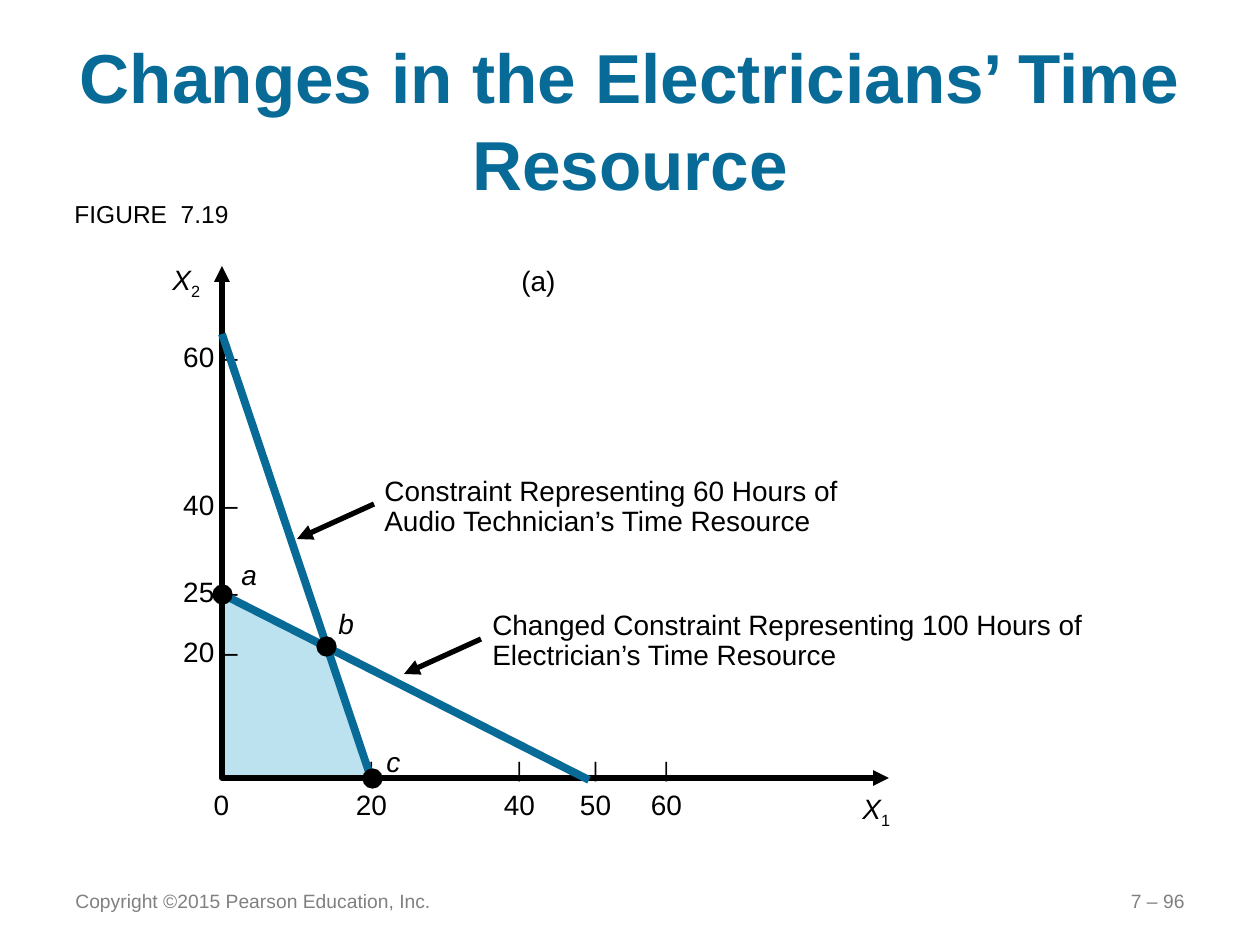
from dataclasses import dataclass
import pptx
import pptx.dml.color
import pptx.enum.shapes
import pptx.enum.text
import pptx.oxml.ns
import pptx.util
from lxml import etree

PX = 914400 / 126
RGB = pptx.dml.color.RGBColor
ALIGN = pptx.enum.text.PP_ALIGN
BLACK = RGB(0, 0, 0)
BLUE = RGB(0x08, 0x6B, 0x97)
PALE = RGB(0xBB, 0xE2, 0xEE)
GREY = RGB(0x80, 0x80, 0x80)
ZERO_X, ZERO_Y = 222, 778


@dataclass
class Label:
    text: str
    x: int
    y: int
    w: int
    h: int = 46
    size: int = 16
    color: RGB = BLACK
    align: ALIGN = ALIGN.LEFT
    space: float = 1.0
    italic: bool = False
    wrap: bool = False
    mid: bool = False
    sub: str = ""
    top: int = 0  # size of the first line, if it differs
    tabs: tuple = ()


@dataclass
class Line:
    x1: int
    y1: int
    x2: int
    y2: int
    color: RGB
    width: float
    arrow: bool = False


def emu(n: float) -> int:
    return round(n * PX)


def add_child(node, tag: str, **attrs):
    return etree.SubElement(node, pptx.oxml.ns.qn(tag), attrs)


def style_run(run, size: float, color: RGB, italic: bool = False) -> None:
    font = run.font
    font.name, font.size = "Arial", pptx.util.Pt(size)
    font.color.rgb, font.italic = color, italic


def draw_label(slide, lab: Label) -> None:
    box = slide.shapes.add_textbox(*map(emu, (lab.x, lab.y, lab.w, lab.h)))
    frame = box.text_frame
    frame.word_wrap = lab.wrap
    if lab.mid:
        frame.vertical_anchor = pptx.enum.text.MSO_ANCHOR.MIDDLE
    frame.text = lab.text
    for i, para in enumerate(frame.paragraphs):
        para.alignment = lab.align
        if lab.space != 1:
            para.line_spacing = lab.space
        if lab.tabs:
            stops = add_child(para._p.get_or_add_pPr(), "a:tabLst")
            for stop in lab.tabs:
                add_child(stops, "a:tab", pos=str(emu(stop)), algn="ctr")
        size = lab.top if lab.top and i == 0 else lab.size
        for run in para.runs:
            style_run(run, size, lab.color, lab.italic)
    if lab.sub:
        run = frame.paragraphs[0].add_run()
        run.text = lab.sub
        style_run(run, lab.size, lab.color)
        run.font._element.set("baseline", "-25000")


def draw_line(slide, line: Line) -> None:
    ends = map(emu, (line.x1, line.y1, line.x2, line.y2))
    item = slide.shapes.add_connector(pptx.enum.shapes.MSO_CONNECTOR.STRAIGHT, *ends)
    item.line.color.rgb = line.color
    item.line.width = pptx.util.Pt(line.width)
    if line.arrow:
        add_child(item.line._get_or_add_ln(), "a:tailEnd", type="triangle")
    add_child(item._element.spPr, "a:effectLst")


def draw_path(slide, points: list, close: bool):
    path = slide.shapes.build_freeform(*points[0], scale=PX)
    path.add_line_segments(points[1:], close=close)
    shape = path.convert_to_shape()
    shape.shadow.inherit = False
    return shape


def draw_dot(slide, x: int, y: int) -> None:
    dot = slide.shapes.add_shape(
        pptx.enum.shapes.MSO_SHAPE.OVAL, *map(emu, (x - 9, y - 9, 19, 19)))
    dot.shadow.inherit = False
    dot.fill.solid()
    dot.fill.fore_color.rgb = BLACK
    dot.line.color.rgb = BLACK
    dot.line.width = pptx.util.Pt(0.75)


def draw_title(slide, text: str) -> None:
    title = slide.shapes.title
    title.left, title.top, title.width, title.height = map(emu, (63, 38, 1134, 158))
    frame = title.text_frame
    frame.text = text
    frame.word_wrap = True
    frame.auto_size = pptx.enum.text.MSO_AUTO_SIZE.NONE
    frame.vertical_anchor = pptx.enum.text.MSO_ANCHOR.MIDDLE
    para = frame.paragraphs[0]
    para.alignment = ALIGN.CENTER
    para.line_spacing = 1.05
    style_run(para.runs[0], 39.6, BLUE)
    para.runs[0].font.bold = True


FOOT = [
    Label("Copyright ©2015 Pearson Education, Inc.", 63, 876, 388, 50, 11, GREY,
          wrap=True, mid=True),
    Label("7 – 96", 903, 876, 294, 50, 11, GREY, ALIGN.RIGHT, wrap=True, mid=True),
]
SCALES = [
    Label("60 –\n40 –\n20 –", 168, 220, 82, 440, align=ALIGN.RIGHT, space=4.39),
    Label("25 –", 170, 568, 80, align=ALIGN.RIGHT),
    Label("\t\t|\t|\t|\n\t0\t20\t40\t60", 185, 747, 573, 81, top=12, space=1.15,
          wrap=True, tabs=(24, 174, 322, 469)),
    Label("|\n50", 567, 747, 57, 81, top=12, space=1.15, align=ALIGN.CENTER),
    Label("X", 850, 785, 57, italic=True, sub="1"),
    Label("X", 160, 256, 57, italic=True, sub="2"),
]
NOTES = [
    Label("FIGURE  7.19", 62, 193, 181, 43, 14),
    Label("(a)", 509, 257, 59),
    Label("a", 229, 551, 48, italic=True),
    Label("b", 326, 600, 48, italic=True),
    Label("c", 374, 738, 47, italic=True),
    Label("Constraint Representing 60 Hours of Audio Technician’s Time Resource",
          372, 471, 537, 74, space=0.9, wrap=True),
    Label("Changed Constraint Representing 100 Hours of Electrician’s Time Resource",
          480, 605, 630, 74, space=0.9, wrap=True),
]
LIMITS = [
    Line(ZERO_X, 334, 371, ZERO_Y, BLUE, 4.5),
    Line(ZERO_X, 594, 589, 780, BLUE, 4.5),
]
POINTERS = [
    Line(374, 504, 297, 539, BLACK, 3, True),
    Line(481, 639, 404, 674, BLACK, 3, True),
]
DOTS = [(222, 594), (326, 646), (372, 778)]


def main() -> None:
    deck = pptx.Presentation()
    deck.slide_width, deck.slide_height = emu(1260), emu(945)
    slide = deck.slides.add_slide(deck.slide_layouts[5])
    draw_title(slide, "Changes in the Electricians’ Time Resource")

    # Feasible region
    area = draw_path(slide, [(ZERO_X, 594), (ZERO_X, ZERO_Y), (371, ZERO_Y),
                             (325, 645)], True)
    area.fill.solid()
    area.fill.fore_color.rgb = PALE
    area.line.fill.background()

    # Both axes, with an arrowhead at each end
    axes = draw_path(slide, [(ZERO_X, 266), (ZERO_X, ZERO_Y), (889, ZERO_Y)], False)
    axes.fill.background()
    axes.line.color.rgb = BLACK
    axes.line.width = pptx.util.Pt(3)
    for end in ("a:headEnd", "a:tailEnd"):
        add_child(axes.line._get_or_add_ln(), end, type="triangle")

    # Scales, constraints, corner points and notes
    for lab in SCALES:
        draw_label(slide, lab)
    for line in LIMITS + POINTERS:
        draw_line(slide, line)
    for x, y in DOTS:
        draw_dot(slide, x, y)
    for lab in NOTES + FOOT:
        draw_label(slide, lab)

    deck.save("out.pptx")


if __name__ == "__main__":
    main()
